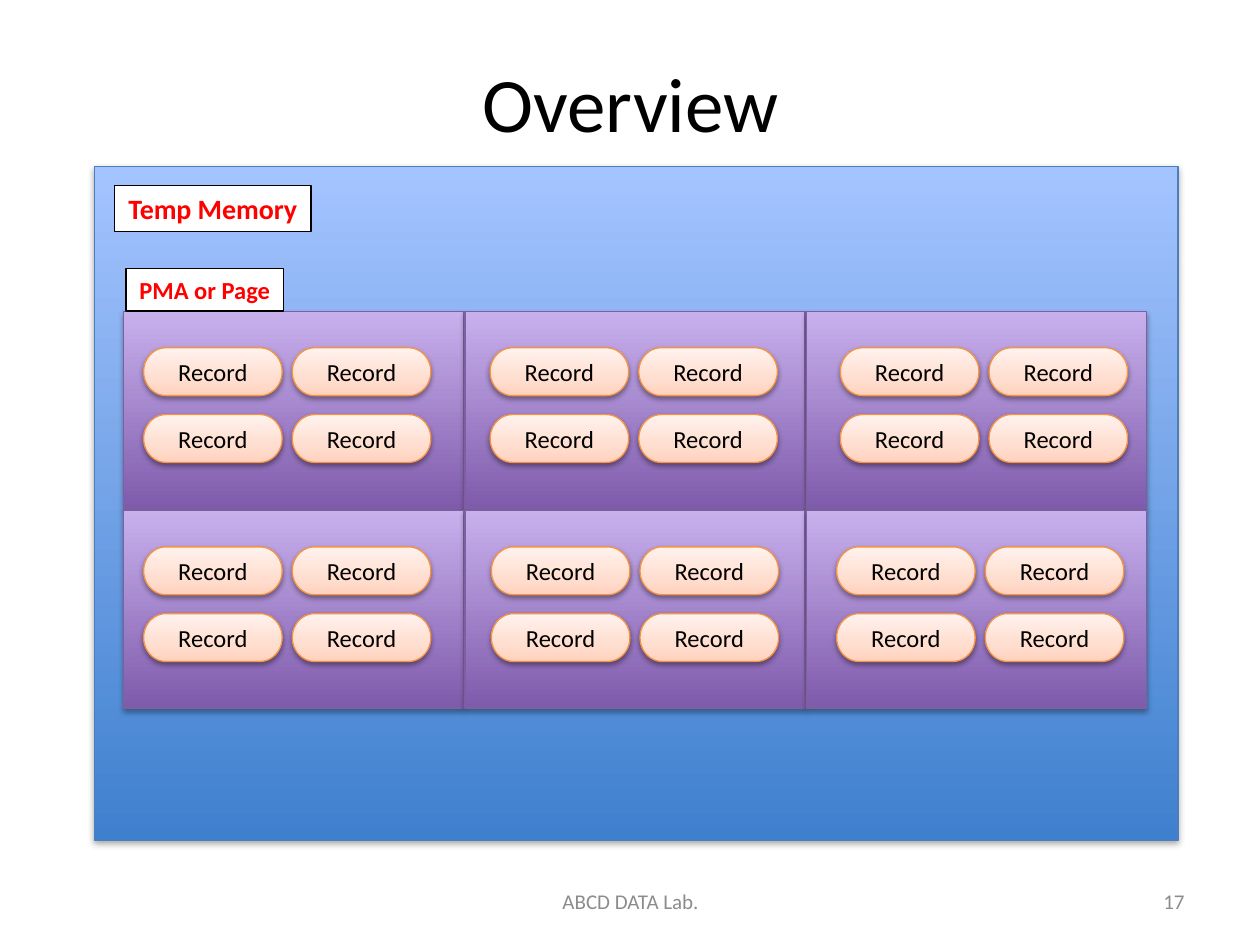
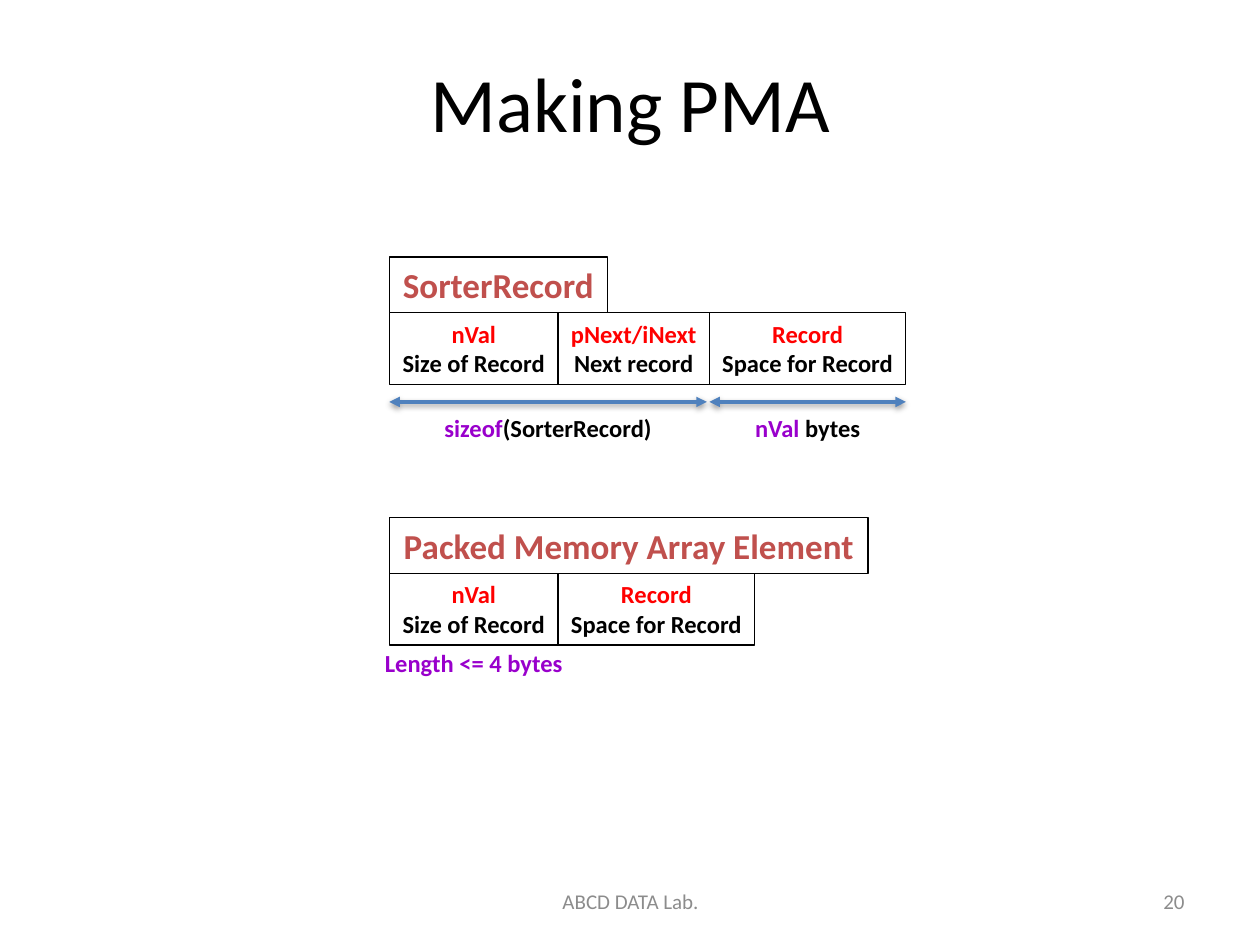
from dataclasses import dataclass
from itertools import product
from typing import NamedTuple

from lxml.etree import SubElement
from copy import deepcopy
from pptx import Presentation
from pptx.dml.color import RGBColor
from pptx.enum.shapes import MSO_CONNECTOR, MSO_SHAPE
from pptx.enum.text import MSO_ANCHOR, MSO_AUTO_SIZE, PP_ALIGN
from pptx.oxml.ns import qn
from pptx.util import Inches, Pt


class Style(NamedTuple):
    stops: tuple
    line: str
    shadow_alpha: int
    shadow_distance: int


@dataclass(frozen=True)
class Theme:
    font: str = "Calibri"
    title: int = 44
    heading: int = 20
    memory: int = 16
    body: int = 14
    footer: int = 12
    hairline: float = 0.75
    span_line: float = 2
    black: str = "000000"
    white: str = "FFFFFF"
    grey: str = "8C8C8C"
    red: str = "FF0000"
    brick: str = "C0504D"
    purple: str = "9900CC"
    blue: str = "4F81BD"
    memory_style: Style = Style(((0, "3F80CE"), (1, "A4C4FF")), "4B7EBC", 35, 23000)
    page_style: Style = Style(((0, "7F5BAB"), (1, "C8B0ED")), "7D60A0", 35, 23000)
    record_style: Style = Style(
        ((0, "FFD2BD"), (0.35, "FFDED0"), (1, "FFF2ED")), "F69240", 38, 20000)


class Box(NamedTuple):
    left: float
    top: float
    width: float
    height: float

    def inside(self, dx, dy, width, height):
        return Box(self.left + dx, self.top + dy, width, height)

    def lengths(self):
        return [Inches(value) for value in self]


THEME = Theme()
FOOTER = "ABCD DATA Lab."


def apply(target, values):
    for name, value in values.items():
        setattr(target, name, value)


def write(shape, paragraphs, size, bold=False, align=PP_ALIGN.CENTER,
          anchor=MSO_ANCHOR.MIDDLE, fit=False):
    frame = shape.text_frame
    apply(frame, {
        "word_wrap": not fit,
        "vertical_anchor": anchor,
        "auto_size": MSO_AUTO_SIZE.SHAPE_TO_FIT_TEXT if fit else MSO_AUTO_SIZE.NONE,
    })
    for index, runs in enumerate(paragraphs):
        paragraph = frame.add_paragraph() if index else frame.paragraphs[0]
        paragraph.alignment = align
        for text, color in runs:
            run = paragraph.add_run()
            run.text = text
            apply(run.font, {"name": THEME.font, "size": Pt(size), "bold": bold})
            run.font.color.rgb = RGBColor.from_string(color)


def add_shadow(effects, alpha, distance):
    shadow = SubElement(effects, qn("a:outerShdw"), blurRad="40000", dist=str(distance),
                        dir="5400000", rotWithShape="0")
    color = SubElement(shadow, qn("a:srgbClr"), val=THEME.black)
    SubElement(color, qn("a:alpha"), val=str(alpha * 1000))


def outline(shape, color, width):
    shape.line.color.rgb = RGBColor.from_string(color)
    shape.line.width = Pt(width)


def gradient_shape(slide, box, kind, style):
    shape = slide.shapes.add_shape(kind, *box.lengths())
    shape.fill.gradient()
    shape.fill.gradient_angle = 90
    stop_list = shape._element.spPr.find(qn("a:gradFill")).find(qn("a:gsLst"))
    while len(stop_list) < len(style.stops):
        stop_list.append(deepcopy(stop_list[0]))
    for stop, (position, color) in zip(shape.fill.gradient_stops, style.stops):
        stop.position = position
        stop.color.rgb = RGBColor.from_string(color)
    outline(shape, style.line, THEME.hairline)
    shape.shadow.inherit = False
    add_shadow(shape._element.spPr.find(qn("a:effectLst")),
               style.shadow_alpha, style.shadow_distance)
    return shape


def framed_label(slide, box, paragraphs, size):
    label = slide.shapes.add_shape(MSO_SHAPE.RECTANGLE, *box.lengths())
    label.fill.solid()
    label.fill.fore_color.rgb = RGBColor.from_string(THEME.white)
    outline(label, THEME.black, THEME.hairline)
    label.shadow.inherit = False
    write(label, paragraphs, size, bold=True, anchor=MSO_ANCHOR.TOP, fit=True)


def caption(slide, center, top, width, runs):
    box = Box(center - width / 2, top, width, 0.34)
    write(slide.shapes.add_textbox(*box.lengths()), [runs], THEME.body,
          bold=True, anchor=MSO_ANCHOR.TOP, fit=True)


def span_arrow(slide, left, right, y):
    arrow = slide.shapes.add_connector(
        MSO_CONNECTOR.STRAIGHT, Inches(left), Inches(y), Inches(right), Inches(y))
    outline(arrow, THEME.blue, THEME.span_line)
    properties = arrow._element.spPr
    for end in ("a:headEnd", "a:tailEnd"):
        SubElement(properties.find(qn("a:ln")), qn(end), type="triangle")
    add_shadow(SubElement(properties, qn("a:effectLst")), 38, 20000)


def new_slide(deck, title, number):
    slide = deck.slides.add_slide(deck.slide_layouts[6])
    parts = (
        (Box(0.67, 0.3, 8.67, 1.02), title, THEME.title, THEME.black, PP_ALIGN.CENTER),
        (Box(3.42, 6.95, 3.17, 0.4), FOOTER, THEME.footer, THEME.grey, PP_ALIGN.CENTER),
        (Box(7.17, 6.95, 2.33, 0.4), number, THEME.footer, THEME.grey, PP_ALIGN.RIGHT),
    )
    for box, text, size, color, align in parts:
        write(slide.shapes.add_textbox(*box.lengths()), [[(text, color)]], size, align=align)
    return slide


def records(slide, page, inset):
    for row, column in product(range(2), repeat=2):
        box = page.inside(inset + column * 1.18, 0.29 + row * 0.53, 1.1, 0.38)
        record = gradient_shape(slide, box, MSO_SHAPE.FLOWCHART_TERMINATOR,
                                THEME.record_style)
        write(record, [[("Record", THEME.black)]], THEME.body)


def temp_memory(slide, box):
    gradient_shape(slide, box, MSO_SHAPE.RECTANGLE, THEME.memory_style)
    framed_label(slide, box.inside(0.16, 0.15, 1.56, 0.37),
                 [[("Temp Memory", THEME.red)]], THEME.memory)
    pages = [box.inside(0.23 + column * 2.71, 1.15 + row * 1.58, 2.7, 1.57)
             for row, column in product(range(2), range(3))]
    for page in pages:
        gradient_shape(slide, page, MSO_SHAPE.RECTANGLE, THEME.page_style)
    framed_label(slide, box.inside(0.25, 0.81, 1.25, 0.34),
                 [[("PMA or Page", THEME.red)]], THEME.body)
    for page, inset in zip(pages, (0.16, 0.2, 0.27, 0.16, 0.21, 0.24)):
        records(slide, page, inset)


def structure(slide, box, heading, fields):
    left = 0
    for name, meaning, width in fields:
        framed_label(slide, box.inside(left, 0.44, width, 0.57),
                     [[(name, THEME.red)], [(meaning, THEME.black)]], THEME.body)
        left += width
    framed_label(slide, box.inside(0, 0, box.width, 0.44),
                 [[(heading, THEME.brick)]], THEME.heading)


def span(slide, left, right, y, width, runs):
    span_arrow(slide, left, right, y)
    caption(slide, (left + right) / 2, y + 0.04, width, runs)


def sorter_record(slide, box):
    structure(slide, box, "SorterRecord", (SIZE_FIELD, NEXT_FIELD, RECORD_FIELD))
    header = SIZE_FIELD[2] + NEXT_FIELD[2]
    split, y = box.left + header, box.top + 1.15
    span(slide, box.left, split - 0.02, y, 1.86,
         [("sizeof", THEME.purple), ("(SorterRecord)", THEME.black)])
    span(slide, split, split + RECORD_FIELD[2], y, 1.04,
         [("nVal ", THEME.purple), ("bytes", THEME.black)])


def packed_element(slide, box):
    structure(slide, box, "Packed Memory Array Element", (SIZE_FIELD, RECORD_FIELD))
    caption(slide, box.left + SIZE_FIELD[2] / 2, box.top + 0.98, 1.62,
            [("Length <= 4 bytes", THEME.purple)])


SIZE_FIELD = ("nVal", "Size of Record", 1.34)
NEXT_FIELD = ("pNext/iNext", "Next record", 1.2)
RECORD_FIELD = ("Record", "Space for Record", 1.56)

deck = Presentation()
apply(deck, {"slide_width": Inches(10), "slide_height": Inches(7.5)})

overview = new_slide(deck, "Overview", "17")
temp_memory(overview, Box(0.75, 1.32, 8.6, 5.35))

making_pma = new_slide(deck, "Making PMA", "20")
sorter_record(making_pma, Box(3.09, 2.04, 1.73, 1.53))
packed_element(making_pma, Box(3.09, 4.11, 3.8, 1.32))

deck.save("out.pptx")
